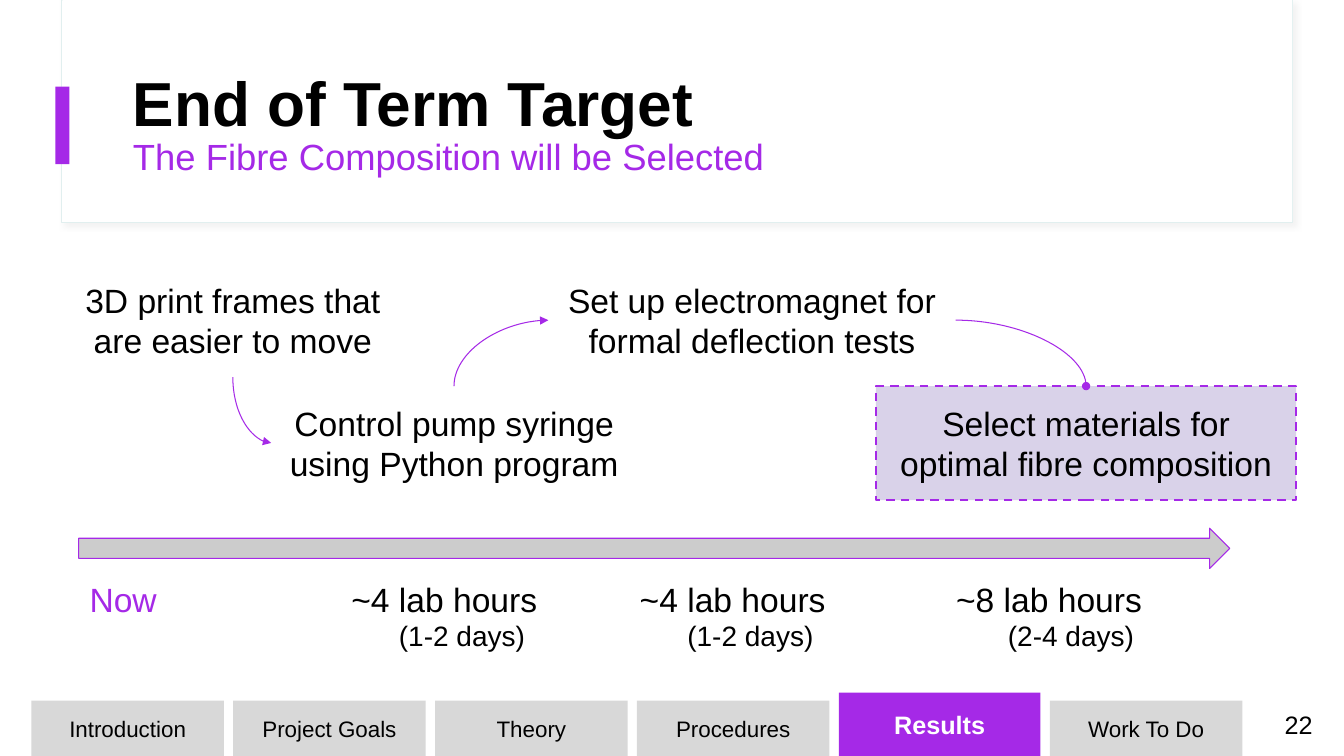
from lxml import etree
from pptx import Presentation
from pptx import util as u
from pptx.dml import color as dml
from pptx.enum import dml as lines, shapes, text
from pptx.oxml import ns

Pt = u.Pt
FONT = "Arial"
COLORS = {
    "black": "000000",
    "white": "FFFFFF",
    "purple": "A529E7",
    "lilac": "D9D2E9",
    "tab": "D8D8D8",
    "arrow": "CCCCCC",
    "mint": "E1EFEF",
}
CENTER = text.PP_ALIGN.CENTER
MIDDLE = text.MSO_ANCHOR.MIDDLE

STEP_HEIGHT = 81.4
UPPER, LOWER = 188, 275.8
STEPS = [
    ("3D print frames that are easier to move", 43.2, UPPER, 246.2),
    ("Control pump syringe using Python program", 193.7, LOWER, 261.4),
    ("Set up electromagnet for formal deflection tests", 391.7, UPPER, 290.9),
]
GOAL = ("Select materials for optimal fibre composition", 625.7, LOWER, 300.2)
ARCS = [
    ((166.3, 269.4), (193.7, 316.4), True, "triangle"),
    ((324.3, 275.8), (391.7, 228.7), True, "triangle"),
    ((682.6, 228.7), (775.8, 275.8), False, "oval"),
]
SECTIONS = ["Introduction", "Project Goals", "Theory", "Procedures", "Results", "Work To Do"]
CURRENT = "Results"
HOURS = ["~4 lab hours", "~4 lab hours", "~8 lab hours"]
DAYS = ["(1-2 days)", "(1-2 days)", "(2-4 days)"]
HOUR_STOPS = [187, 393, 619]
DAY_STOPS = [221, 427, 656]


def rgb(name):
    return dml.RGBColor.from_string(COLORS[name])


def apply(target, values):
    for key, value in values.items():
        setattr(target, key, value)


def child(parent, tag, **attributes):
    return etree.SubElement(parent, ns.qn(tag), attributes)


def write(paragraph, words, size, color="black", bold=False):
    run = paragraph.add_run()
    run.text = words
    apply(run.font, {"name": FONT, "size": Pt(size), "bold": bold})
    run.font.color.rgb = rgb(color)


def set_frame(frame, anchor=MIDDLE, inset=3.6):
    apply(frame, {
        "word_wrap": True,
        "vertical_anchor": anchor,
        "margin_left": Pt(7.2),
        "margin_right": Pt(7.2),
        "margin_top": Pt(inset),
        "margin_bottom": Pt(inset),
    })
    return frame


def add_block(owner, box, fill, outline=None, weight=0.75, kind=shapes.MSO_SHAPE.RECTANGLE):
    block = owner.add_shape(kind, *map(Pt, box))
    block.shadow.inherit = False
    block.fill.solid()
    block.fill.fore_color.rgb = rgb(fill)
    if outline:
        block.line.color.rgb = rgb(outline)
        block.line.width = Pt(weight)
    else:
        block.line.fill.background()
    return block


def add_words(owner, box, anchor=MIDDLE, inset=7.2):
    return set_frame(owner.add_textbox(*map(Pt, box)).text_frame, anchor, inset)


def fill_step(frame, words):
    frame.paragraphs[0].alignment = CENTER
    write(frame.paragraphs[0], words, 24)


def add_header(slide):
    panel = add_block(slide.shapes, (43.9, 0, 879.1, 159.1), "white", "mint")
    effects = panel._element.spPr.find(ns.qn("a:effectLst"))
    shadow = child(effects, "a:outerShdw", blurRad=str(Pt(4)), dist=str(Pt(3)),
                   dir="2700000", algn="tl", rotWithShape="0")
    child(child(shadow, "a:srgbClr", val=COLORS["tab"]), "a:alpha", val="30000")
    add_block(slide.shapes, (44.6, 0, 878.4, 158.4), "white")
    add_block(slide.shapes, (39.6, 61.9, 10.1, 55.4), "purple")

    title = slide.shapes.title
    slide.shapes._spTree.append(title._element)
    apply(title, {"left": Pt(87.8), "top": Pt(43.2), "width": Pt(800.6), "height": Pt(92.9)})
    frame = set_frame(title.text_frame)
    frame.auto_size = text.MSO_AUTO_SIZE.NONE
    heading, subheading = frame.paragraphs[0], frame.add_paragraph()
    for paragraph in (heading, subheading):
        apply(paragraph, {"alignment": text.PP_ALIGN.LEFT, "line_spacing": 0.9,
                          "space_before": Pt(0)})
    write(heading, "End of Term Target", 44.4, bold=True)
    write(subheading, "The Fibre Composition will be Selected", 26, "purple")


def add_navigation(slide):
    navigation = slide.shapes.add_group_shape()
    left = 22.4
    for section in SECTIONS:
        current = section == CURRENT
        width, height = (144, 45.2) if current else (137.5, 39.6)
        tab = add_block(navigation.shapes, (left, 540 - height, width, height),
                        "purple" if current else "tab")
        label = set_frame(tab.text_frame).paragraphs[0]
        label.alignment = CENTER
        write(label, section, 18 if current else 16, "white" if current else "black", current)
        left += width + 6.7


def add_arc(slide, start, end, vertical_first, tip):
    (x1, y1), (x2, y2) = start, end
    if vertical_first:
        middle_x, middle_y = (x1 + x2) / 2, (y1 + y2) / 2
        half_x, half_y = (y1 - y2) / 2, (x2 - x1) / 2
        x1, x2 = middle_x - half_x, middle_x + half_x
        y1, y2 = middle_y - half_y, middle_y + half_y
    arc = slide.shapes.add_connector(shapes.MSO_CONNECTOR.CURVE, *map(Pt, (x1, y1, x2, y2)))
    arc.line.color.rgb = rgb("purple")
    arc.line.width = Pt(0.75)
    properties = arc._element.spPr
    properties.find(ns.qn("a:prstGeom")).set("prst", "curvedConnector2")
    if vertical_first:
        properties.find(ns.qn("a:xfrm")).set("rot", str(270 * 60000))
    child(properties.find(ns.qn("a:ln")), "a:tailEnd", type=tip)
    child(properties, "a:effectLst")


def add_stops(paragraph, stops):
    stop_list = child(paragraph._p.get_or_add_pPr(), "a:tabLst")
    for stop in stops:
        child(stop_list, "a:tab", pos=str(Pt(stop)), algn="l")


def add_timeline(slide):
    arrow = (56.2, 377.3, 822.2, 28.8)
    add_block(slide.shapes, arrow, "arrow", "purple", kind=shapes.MSO_SHAPE.RIGHT_ARROW)
    frame = add_words(slide.shapes, (56.9, 406.1, 845.3, 67.7), text.MSO_ANCHOR.TOP)
    hours, days = frame.paragraphs[0], frame.add_paragraph()
    add_stops(hours, HOUR_STOPS)
    add_stops(days, DAY_STOPS)
    write(hours, "Now", 24, "purple")
    write(hours, "".join("\t" + entry for entry in HOURS), 24)
    write(days, "".join("\t" + entry for entry in DAYS), 20)


def main():
    deck = Presentation()
    apply(deck, {"slide_width": Pt(960), "slide_height": Pt(540)})
    slide = deck.slides.add_slide(deck.slide_layouts[5])
    add_header(slide)
    add_navigation(slide)

    number = add_words(slide.shapes, (888.5, 503.3, 56.2, 28.8), text.MSO_ANCHOR.TOP, 3.6)
    number.paragraphs[0].alignment = text.PP_ALIGN.RIGHT
    write(number.paragraphs[0], "22", 18)

    for words, left, top, width in STEPS:
        fill_step(add_words(slide.shapes, (left, top, width, STEP_HEIGHT)), words)
    words, left, top, width = GOAL
    goal = add_block(slide.shapes, (left, top, width, STEP_HEIGHT), "lilac", "purple", 1.5)
    goal.line.dash_style = lines.MSO_LINE.DASH
    fill_step(set_frame(goal.text_frame, inset=7.2), words)

    add_timeline(slide)
    for start, end, vertical_first, tip in ARCS:
        add_arc(slide, start, end, vertical_first, tip)
    deck.save("out.pptx")


if __name__ == "__main__":
    main()
